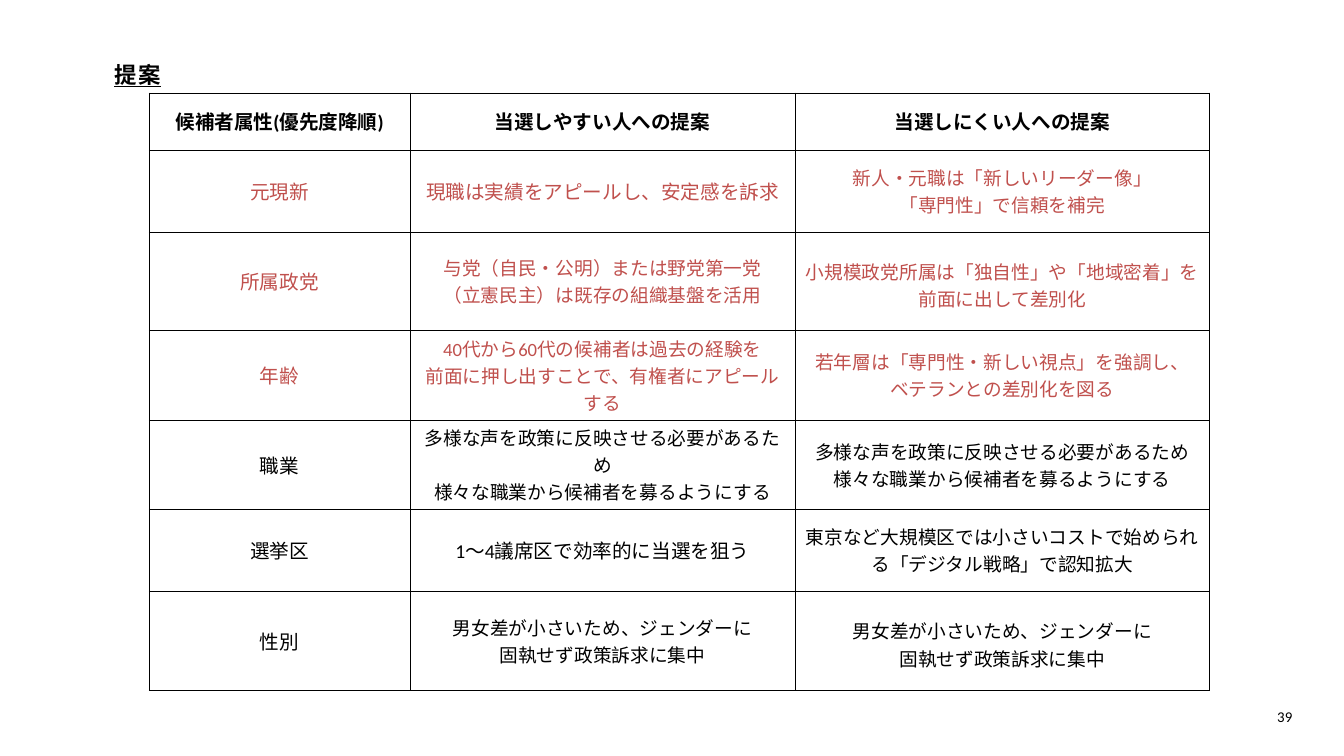
from lxml.etree import SubElement
from pptx import Presentation
from pptx.dml.color import RGBColor
from pptx.enum.text import MSO_ANCHOR as Anchor, PP_ALIGN as Align
from pptx.oxml.ns import qn
from pptx.util import Inches, Pt

BLACK, RED = "000000", "C0504D"
LATIN, JAPANESE = "Calibri", "Noto Sans CJK JP"

HEADERS = ["候補者属性(優先度降順)", "当選しやすい人への提案", "当選しにくい人への提案"]
DIVERSE = "多様な声を政策に反映させる必要があるため\n様々な職業から候補者を募るようにする"
GENDER = "男女差が小さいため、ジェンダーに\n固執せず政策訴求に集中"
# Row height, text colour, text sizes and texts of the three columns
ROWS = [
    (1.22, RED, (21, 21, 20),
     ["元現新", "現職は実績をアピールし、安定感を訴求",
      "新人・元職は「新しいリーダー像」\n「専門性」で信頼を補完"]),
    (1.47, RED, (21, 20, 20),
     ["所属政党", "与党（自民・公明）または野党第一党\n（立憲民主）は既存の組織基盤を活用",
      "小規模政党所属は「独自性」や「地域密着」を前面に出して差別化"]),
    (1.22, RED, (21, 20, 20),
     ["年齢", "40代から60代の候補者は過去の経験を\n前面に押し出すことで、有権者にアピールする",
      "若年層は「専門性・新しい視点」を強調し、\nベテランとの差別化を図る"]),
    (1.22, BLACK, (21, 20, 20), ["職業", DIVERSE, DIVERSE]),
    (1.22, BLACK, (21, 21, 20),
     ["選挙区", "1〜4議席区で効率的に当選を狙う",
      "東京など大規模区では小さいコストで始められる「デジタル戦略」で認知拡大"]),
    (1.47, BLACK, (21, 20, 20), ["性別", GENDER, GENDER]),
]


def color(hex_string):
    return RGBColor.from_string(hex_string)


def write(frame, text, size, font=LATIN, fill=BLACK, bold=False, underline=False,
          align=Align.LEFT, spacing=None, tracking=None):
    """Write each line of the text as one formatted paragraph."""
    frame.word_wrap = True
    for index, line in enumerate(text.split("\n")):
        para = frame.add_paragraph() if index else frame.paragraphs[0]
        para.alignment = align
        if spacing:
            para.line_spacing = Pt(spacing)
        span = para.add_run()
        span.text = line
        span.font.name, span.font.size = font, Pt(size)
        span.font.bold, span.font.underline = bold, underline
        span.font.color.rgb = color(fill)
        props = span.font._element
        SubElement(props, qn("a:ea"), typeface=JAPANESE)
        if tracking:
            props.set("spc", str(round(tracking * 100)))


def place_title(page, left, top, width, height):
    title = page.shapes.title
    title.left, title.top, title.width, title.height = map(Inches, (left, top, width, height))
    frame = title.text_frame
    frame.margin_left = frame.margin_right = frame.margin_top = frame.margin_bottom = 0
    frame.vertical_anchor = Anchor.TOP
    write(frame, "提案", 24, font=JAPANESE, bold=True, underline=True,
          spacing=38.4, tracking=2.1)


def border_cell(cell, width=0.5):
    props = cell._tc.get_or_add_tcPr()
    for index, side in enumerate(("lnL", "lnR", "lnT", "lnB")):
        line = props.makeelement(qn(f"a:{side}"), {"w": str(Pt(width))})
        fill = SubElement(line, qn("a:solidFill"))
        SubElement(fill, qn("a:srgbClr"), val=BLACK)
        props.insert(index, line)


def fill_cell(cell, text, size, **style):
    cell.margin_left = cell.margin_right = Inches(0.12)
    cell.margin_top = cell.margin_bottom = Inches(0.06)
    cell.vertical_anchor = Anchor.MIDDLE
    cell.fill.background()
    border_cell(cell)
    write(cell.text_frame, text, size, align=Align.CENTER, **style)


def place_table(page, left, top, widths):
    heights = [0.85] + [height for height, *_ in ROWS]
    box = map(Inches, (left, top, sum(widths), sum(heights)))
    table = page.shapes.add_table(len(heights), len(widths), *box).table
    table.first_row = table.horz_banding = False
    for column, width in zip(table.columns, widths):
        column.width = Inches(width)
    for row, height in zip(table.rows, heights):
        row.height = Inches(height)

    # Header row
    for index, header in enumerate(HEADERS):
        fill_cell(table.cell(0, index), header, 21, bold=True)

    # Proposals
    for number, (height, fill, sizes, texts) in enumerate(ROWS, start=1):
        for index, (text, size) in enumerate(zip(texts, sizes)):
            fill_cell(table.cell(number, index), text, size, fill=fill)
        # The tall rows set their last column slightly lower
        if height > 1.22:
            table.cell(number, 2).margin_top = Inches(0.17)


def place_page_number(page, left, top, width, height):
    box = page.shapes.add_textbox(*map(Inches, (left, top, width, height)))
    box.text_frame.vertical_anchor = Anchor.MIDDLE
    write(box.text_frame, "39", 16, align=Align.RIGHT)


def main():
    deck = Presentation()
    deck.slide_width, deck.slide_height = Inches(20), Inches(11.25)
    page = deck.slides.add_slide(deck.slide_layouts[5])
    place_title(page, 1.7, 0.77, 11.6, 0.48)
    place_table(page, 2.22, 1.38, [3.88, 5.73, 6.17])
    place_page_number(page, 17, 10.46, 2.33, 0.4)
    deck.save("out.pptx")


if __name__ == "__main__":
    main()
